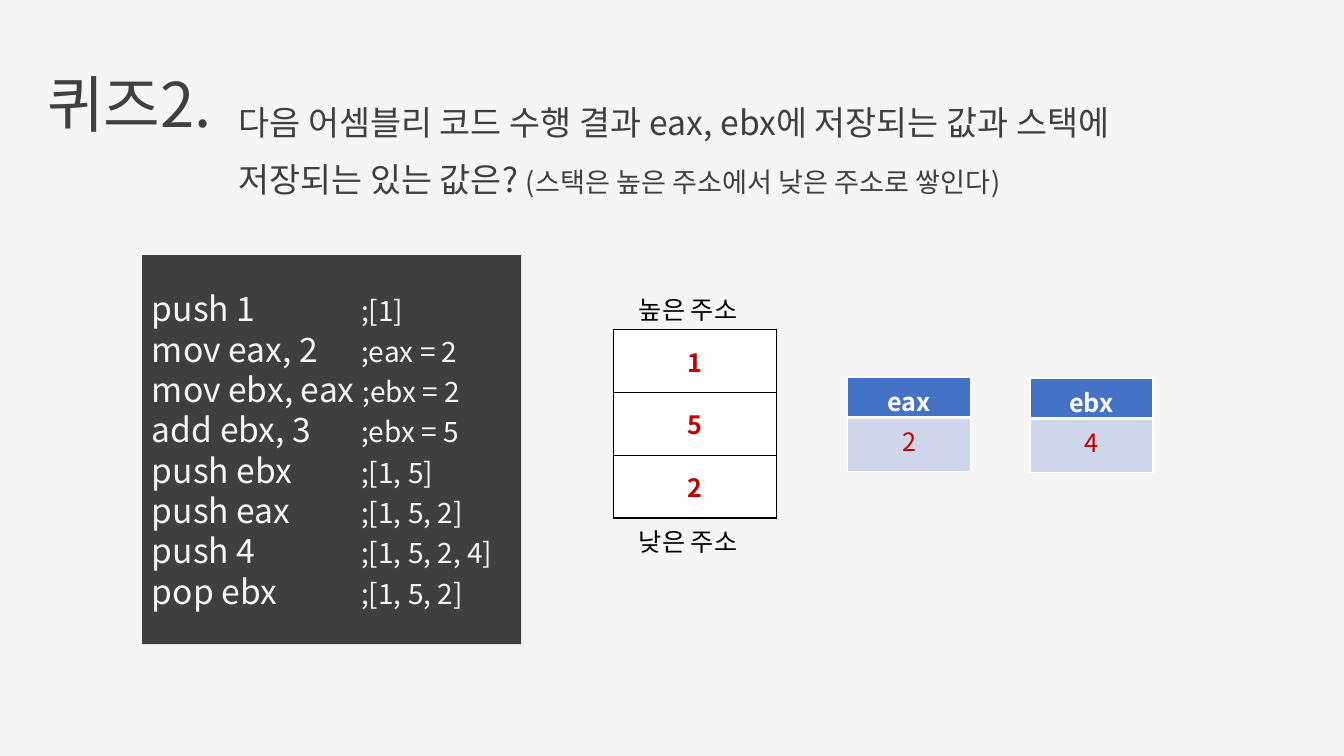
import pptx
import pptx.util
import pptx.dml.color
import pptx.enum.shapes
import pptx.enum.text
import pptx.oxml.ns
from lxml import etree

Pt = pptx.util.Pt
ALIGN = pptx.enum.text.PP_ALIGN
ANCHOR = pptx.enum.text.MSO_ANCHOR
FONT = "Noto Sans CJK KR"
COLORS = {"background": "F5F5F5", "dark": "3F3F3F", "black": "000000", "white": "FFFFFF",
          "answer": "C00000", "header": "4472C4", "value": "CFD5EA"}

# Content
TITLE = "퀴즈2."
QUESTION = [("다음 어셈블리 코드 수행 결과 eax, ebx에 저장되는 값과 스택에 저장되는 있는 값은? ", 24.1),
            ("(스택은 높은 주소에서 낮은 주소로 쌓인다)", 19.4)]
CODE = [("push 1\t ", ";[1]"), ("mov eax, 2\t ", ";eax = 2"),
        ("mov ebx, eax ", ";ebx = 2"), ("add ebx, 3\t ", ";ebx = 5"),
        ("push ebx\t ", ";[1, 5]"), ("push eax\t ", ";[1, 5, 2]"),
        ("push 4\t ", ";[1, 5, 2, 4]"), ("pop ebx\t ", ";[1, 5, 2]")]
STACK = ["1", "5", "2"]
STACK_LABELS = [("높은 주소", 206.6), ("낮은 주소", 372.2)]
REGISTERS = [("eax", "2", 605.5, 269.3), ("ebx", "4", 735.8, 270)]


def rgb(name):
    return pptx.dml.color.RGBColor.from_string(COLORS[name])


def sub(parent, tag, **attributes):
    return etree.SubElement(parent, pptx.oxml.ns.qn(tag), **attributes)


def style(font, size=None, color=None, bold=None):
    if size:
        font.size = Pt(size)
    if bold is not None:
        font.bold = bold
    if color:
        font.color.rgb = rgb(color)
        font.name = FONT
        latin = font._element.find(pptx.oxml.ns.qn("a:latin"))
        east_asian = etree.Element(pptx.oxml.ns.qn("a:ea"), typeface=FONT)
        latin.addnext(east_asian)


def add_runs(paragraph, runs, color):
    style(paragraph.font, color=color)
    for text, size in runs:
        run = paragraph.add_run()
        run.text = text
        style(run.font, size)


def add_text_box(left, top, width, height, wrap=True):
    frame = slide.shapes.add_textbox(Pt(left), Pt(top), Pt(width), Pt(height)).text_frame
    frame.word_wrap = wrap
    return frame


def add_table(left, top, width, heights):
    frame = slide.shapes.add_table(len(heights), 1, Pt(left), Pt(top), Pt(width), Pt(sum(heights)))
    for row, height in zip(frame.table.rows, heights):
        row.height = Pt(height)
    return frame.table


def fill_cell(cell, text, fill, color, bold, border, bottom=1):
    cell.text = text
    paragraph = cell.text_frame.paragraphs[0]
    paragraph.alignment = ALIGN.CENTER
    style(paragraph.font, 18, color, bold)
    properties = cell._tc.get_or_add_tcPr()
    for side, width in (("L", 1), ("R", 1), ("T", 1), ("B", bottom)):
        line = sub(properties, f"a:ln{side}", w=str(Pt(width)))
        sub(sub(line, "a:solidFill"), "a:srgbClr", val=COLORS[border])
    cell.fill.solid()
    cell.fill.fore_color.rgb = rgb(fill)


presentation = pptx.Presentation()
presentation.slide_width, presentation.slide_height = Pt(960), Pt(540)
slide = presentation.slides.add_slide(presentation.slide_layouts[5])
slide.background.fill.solid()
slide.background.fill.fore_color.rgb = rgb("background")

# Title and question
title = slide.shapes.title
title.left, title.top, title.width, title.height = Pt(26.6), Pt(24.5), Pt(154), Pt(104.4)
title.text_frame.text = TITLE
title.text_frame.vertical_anchor = ANCHOR.MIDDLE
heading = title.text_frame.paragraphs[0]
heading.alignment = ALIGN.LEFT
heading.line_spacing = 0.9
style(heading.font, 44, "dark")

question = add_text_box(163.4, 57.6, 715, 85).paragraphs[0]
question.line_spacing = 1.4
add_runs(question, QUESTION, "dark")

# Code listing with comments aligned at a tab stop
panel = slide.shapes.add_shape(pptx.enum.shapes.MSO_SHAPE.RECTANGLE,
                               Pt(101.5), Pt(182.2), Pt(270.7), Pt(277.9))
panel.shadow.inherit = False
panel.fill.solid()
panel.fill.fore_color.rgb = rgb("dark")
panel.line.fill.background()
listing = panel.text_frame
listing.vertical_anchor = ANCHOR.MIDDLE
for index, (command, comment) in enumerate(CODE):
    paragraph = listing.add_paragraph() if index else listing.paragraphs[0]
    paragraph.alignment = ALIGN.LEFT
    tabs = sub(paragraph._p.get_or_add_pPr(), "a:tabLst")
    sub(tabs, "a:tab", pos=str(Pt(144)), algn="l")
    add_runs(paragraph, [(command, 24), (comment, 20)], "background")

# Stack, from high to low addresses
stack = add_table(438, 235.6, 116.6, [44.8] * len(STACK))
for row, value in enumerate(STACK):
    cell = stack.cell(row, 0)
    fill_cell(cell, value, "white", "answer", True, "black")
    cell.vertical_anchor = ANCHOR.MIDDLE
for text, top in STACK_LABELS:
    label = add_text_box(449.3, top, 93.6, 28.8, wrap=False).paragraphs[0]
    add_runs(label, [(text, 18)], "black")

# Registers
for name, value, left, top in REGISTERS:
    register = add_table(left, top, 87.8, [28.8, 38.6])
    fill_cell(register.cell(0, 0), name, "header", "white", True, "white", bottom=3)
    fill_cell(register.cell(1, 0), value, "value", "answer", False, "white")

presentation.save("out.pptx")
